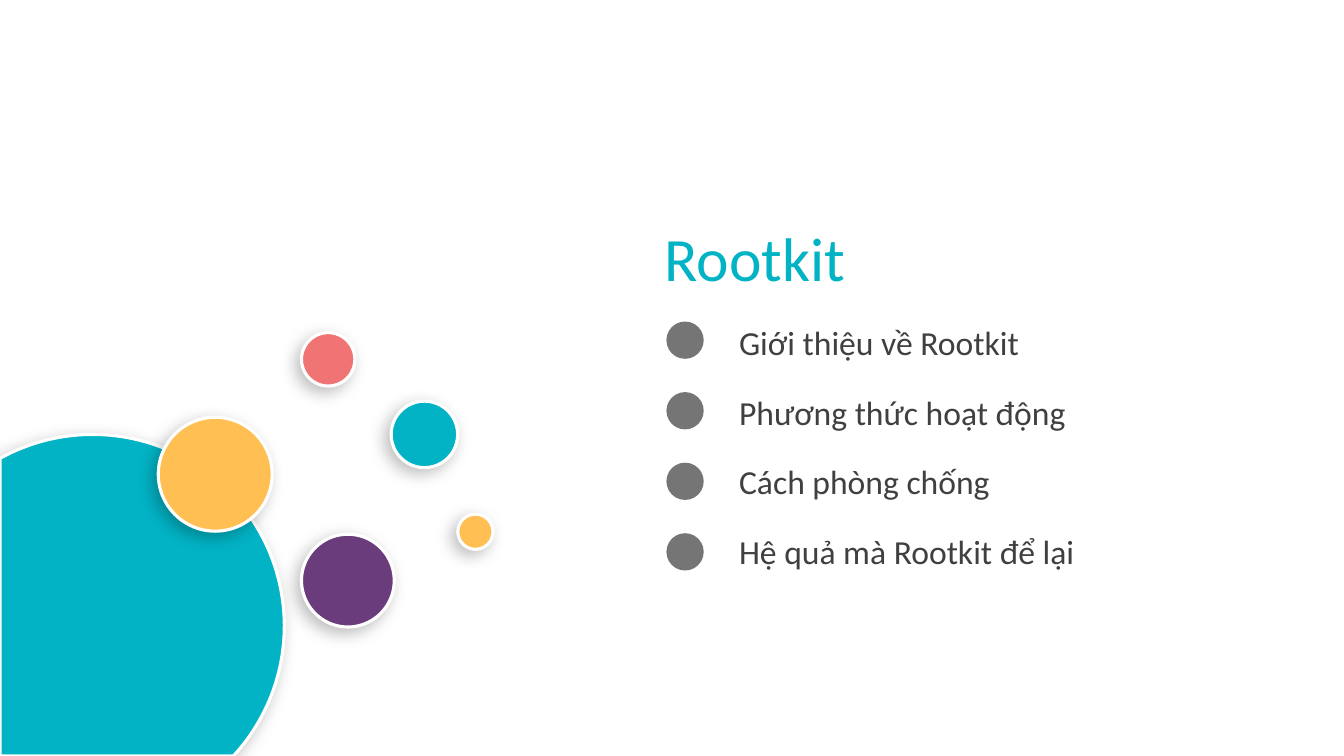
import math

from lxml import etree
from pptx import Presentation
from pptx.dml.color import RGBColor
from pptx.enum import shapes, text
from pptx.oxml import ns
from pptx.util import Inches, Pt

COLORS = {"teal": "02B3C5", "purple": "6A3C7C", "amber": "FFBF53",
          "coral": "F07474", "gray": "404040", "white": "FFFFFF", "black": "000000"}
FONT = "Calibri"
SLIDE_W, SLIDE_H = 13.33, 7.5
TOPICS = ["Giới thiệu về Rootkit", "Phương thức hoạt động",
          "Cách phòng chống", "Hệ quả mà Rootkit để lại"]
# Offset from the corner of the bubble region, diameter, colour
BUBBLES = [(2.99, 2, 0.92, "purple"), (3.88, 0.68, 0.66, "teal"),
           (1.57, 0.84, 1.13, "amber"), (2.99, 0, 0.53, "coral"),
           (4.54, 1.8, 0.35, "amber")]


def rgb(name):
    return RGBColor.from_string(COLORS[name])


def fill_solid(shape, color):
    shape.shadow.inherit = False
    shape.fill.solid()
    shape.fill.fore_color.rgb = rgb(color)


def add_alpha(color_element, percent):
    etree.SubElement(color_element, ns.qn("a:alpha"), val=str(percent * 1000))


def style_bubble(bubble, color):
    """White rim and a soft shadow to the lower left."""
    fill_solid(bubble, color)
    bubble.line.color.rgb = rgb("white")
    bubble.line.width = Pt(2.25)
    effects = bubble._element.spPr.find(ns.qn("a:effectLst"))
    shadow = etree.SubElement(effects, ns.qn("a:outerShdw"), blurRad=str(Pt(12)),
                              dist=str(Pt(5)), dir=str(135 * 60000),
                              algn="tr", rotWithShape="0")
    shade = etree.SubElement(shadow, ns.qn("a:srgbClr"), val=COLORS["black"])
    add_alpha(shade, 26)


def add_circle(slide, left, top, diameter):
    return slide.shapes.add_shape(shapes.MSO_SHAPE.OVAL, Inches(left), Inches(top),
                                  Inches(diameter), Inches(diameter))


def add_corner_disc(slide, center_x, center_y, radius):
    """Large disc cut off by the left and bottom slide edges."""
    start = -math.acos(-center_x / radius)
    end = math.asin((SLIDE_H - center_y) / radius)
    steps = 90
    angles = [start + (end - start) * i / steps for i in range(steps + 1)]
    arc = [(center_x + radius * math.cos(a), center_y + radius * math.sin(a))
           for a in angles]
    outline = slide.shapes.build_freeform(0, Inches(SLIDE_H))
    outline.add_line_segments([(Inches(x), Inches(y)) for x, y in arc], close=True)
    style_bubble(outline.convert_to_shape(), "teal")


def add_bubbles(slide, left, top):
    add_corner_disc(slide, left + 0.92, top + 2.91, 1.9)
    for dx, dy, diameter, color in BUBBLES:
        style_bubble(add_circle(slide, left + dx, top + dy, diameter), color)


def place(placeholder, left, top, width, height):
    placeholder.left, placeholder.top = Inches(left), Inches(top)
    placeholder.width, placeholder.height = Inches(width), Inches(height)
    placeholder.text_frame.auto_size = text.MSO_AUTO_SIZE.NONE
    placeholder.text_frame.vertical_anchor = text.MSO_ANCHOR.TOP


def format_paragraph(paragraph, size, color):
    paragraph.alignment = text.PP_ALIGN.LEFT
    paragraph.line_spacing = 1.0
    paragraph.space_before = Pt(0)
    for run in paragraph.runs:
        run.font.name = FONT
        run.font.size = Pt(size)
        run.font.color.rgb = rgb(color)


def add_heading(slide, left, top, width, height):
    heading = slide.shapes.title
    place(heading, left, top, width, height)
    heading.text_frame.text = "Rootkit"
    format_paragraph(heading.text_frame.paragraphs[0], 44, "teal")


def add_topics(slide, left, top, width, height):
    """Topic list with a translucent dot beside each line."""
    pitch, dot_size, indent = 0.7, 0.37, 0.62
    topics = slide.placeholders[1]
    place(topics, left + indent, top, width - indent, height)
    topics.text_frame.text = "\n".join(TOPICS)
    for row, topic in enumerate(topics.text_frame.paragraphs):
        format_paragraph(topic, 24, "gray")
        topic.space_after = Pt(21.1)
        properties = topic._p.get_or_add_pPr()
        properties.set("marL", "0")
        properties.set("indent", "0")
        etree.SubElement(properties, ns.qn("a:buNone"))

        dot = add_circle(slide, left, top + 0.05 + row * pitch, dot_size)
        fill_solid(dot, "gray")
        dot.line.fill.background()
        add_alpha(dot._element.spPr.find(".//" + ns.qn("a:srgbClr")), 72)


def main():
    deck = Presentation()
    deck.slide_width, deck.slide_height = Inches(SLIDE_W), Inches(SLIDE_H)
    slide = deck.slides.add_slide(deck.slide_layouts[1])
    add_bubbles(slide, 0, 3.3)
    add_heading(slide, 6.49, 2.13, 3.77, 0.84)
    add_topics(slide, 6.61, 3.14, 5.27, 2.6)
    deck.save("out.pptx")


if __name__ == "__main__":
    main()
